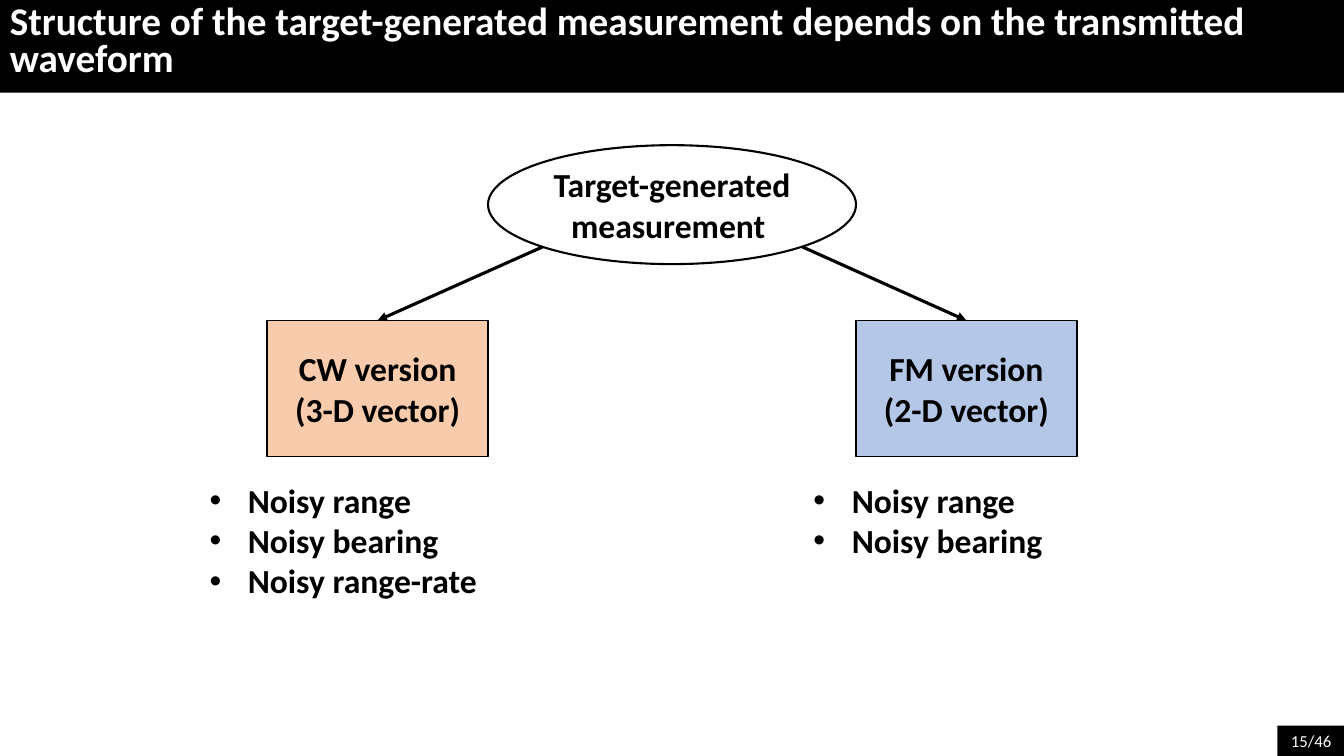
from lxml import etree
from pptx import Presentation
from pptx.dml.color import RGBColor
from pptx.enum.shapes import MSO_CONNECTOR, MSO_SHAPE
from pptx.enum.text import MSO_ANCHOR, PP_ALIGN
from pptx.oxml.ns import qn
from pptx.util import Inches, Pt

RECT, OVAL = MSO_SHAPE.RECTANGLE, MSO_SHAPE.OVAL
STRAIGHT = MSO_CONNECTOR.STRAIGHT
LEFT, CENTER = PP_ALIGN.LEFT, PP_ALIGN.CENTER
TOP, MIDDLE = MSO_ANCHOR.TOP, MSO_ANCHOR.MIDDLE
BLACK, WHITE, ORANGE, BLUE = "000000", "FFFFFF", "F8CBAD", "B4C7E7"


def rgb(value):
    return RGBColor.from_string(value)


class Deck:
    font = "Calibri"
    size = 24

    def __init__(self, prs):
        self.s = prs.slides.add_slide(prs.slide_layouts[6])

    def add_text(self, sp, lines, size=None, color=BLACK, bold=True,
                 align=CENTER, anchor=MIDDLE, spacing=None, bullet=None):
        tf = sp.text_frame
        tf.word_wrap = True
        tf.vertical_anchor = anchor
        for i, line in enumerate(lines):
            p = tf.paragraphs[0] if i == 0 else tf.add_paragraph()
            p.alignment = align
            if spacing:
                p.line_spacing = spacing
            if bullet:
                pPr = p._p.get_or_add_pPr()
                pPr.set("marL", str(Inches(0.38)))
                pPr.set("indent", str(-Inches(0.38)))
                etree.SubElement(pPr, qn("a:buFont"), typeface="Arial")
                etree.SubElement(pPr, qn("a:buChar"), char=bullet)
            r = p.add_run()
            r.text = line
            r.font.name = self.font
            r.font.size = Pt(size or self.size)
            r.font.bold = bold
            r.font.color.rgb = rgb(color)

    def shape(self, kind, box, fill, lines, line_width=None, **style):
        sp = self.s.shapes.add_shape(kind, *map(Inches, box))
        sp.shadow.inherit = False
        sp.fill.solid()
        sp.fill.fore_color.rgb = rgb(fill)
        if line_width:
            sp.line.color.rgb = rgb(BLACK)
            sp.line.width = Pt(line_width)
        else:
            sp.line.fill.background()
        self.add_text(sp, lines, **style)
        return sp

    def bullets(self, box, lines):
        sp = self.s.shapes.add_textbox(*map(Inches, box))
        self.add_text(sp, lines, align=LEFT, anchor=TOP, bullet="•")

    def arrow(self, start, target):
        x, y = map(Inches, start)
        c = self.s.shapes.add_connector(STRAIGHT, x, y, x, y)
        c.end_connect(target, 0)
        c.line.color.rgb = rgb(BLACK)
        c.line.width = Pt(2.25)
        etree.SubElement(c.line._get_or_add_ln(), qn("a:tailEnd"), type="triangle")
        etree.SubElement(c._element.spPr, qn("a:effectLst"))


def main():
    prs = Presentation()
    prs.slide_width, prs.slide_height = Inches(13.33), Inches(7.5)
    deck = Deck(prs)

    # Page number and title bar
    deck.shape(RECT, (12.67, 7.2, 0.67, 0.3), BLACK, ["15/46"],
               size=12, color=WHITE, bold=False, anchor=TOP)
    deck.shape(RECT, (0, 0, 13.33, 0.92), BLACK,
               ["Structure of the target-generated measurement depends on "
                "the transmitted waveform"],
               size=28, color=WHITE, align=LEFT, anchor=TOP, spacing=0.8)

    # Root of the tree
    deck.shape(OVAL, (4.84, 1.44, 3.65, 1.18), WHITE,
               ["Target-generated measurement "], line_width=1.5)

    # One branch per waveform: box, arrow and measured quantities
    quantities = ["Noisy range", "Noisy bearing", "Noisy range-rate"]
    branches = [
        ("CW", 3, ORANGE, 2.65, 5.38, (1.98, 4.71, 3.53, 1.31)),
        ("FM", 2, BLUE, 8.49, 7.96, (7.97, 4.71, 3.23, 0.91)),
    ]
    for name, dims, fill, left, arrow_x, list_box in branches:
        version = deck.shape(RECT, (left, 3.18, 2.19, 1.35), fill,
                             [f"{name} version", f"({dims}-D vector)"], line_width=1)
        deck.arrow((arrow_x, 2.45), version)
        deck.bullets(list_box, quantities[:dims])

    prs.save("out.pptx")


if __name__ == "__main__":
    main()
